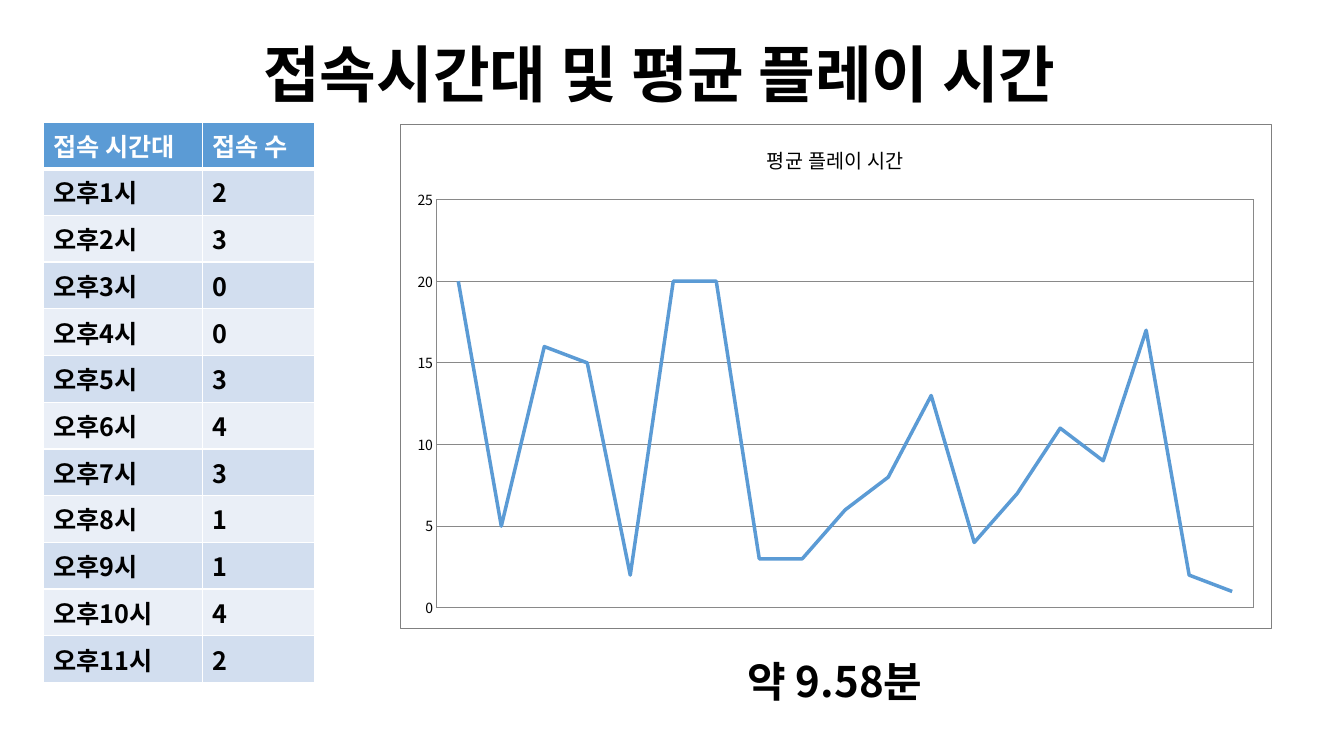
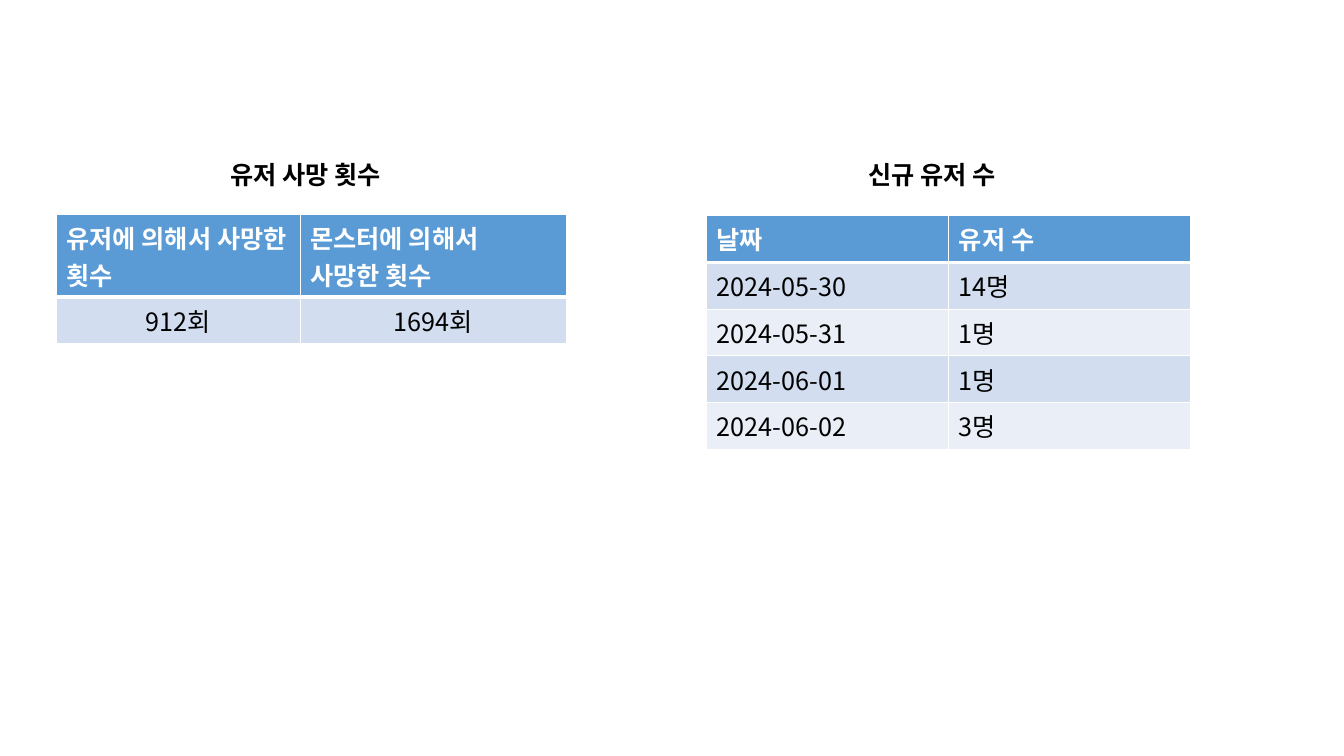
"""Build two slides on play times, user deaths and new users."""
from dataclasses import dataclass
from itertools import product

from lxml import etree
from pptx import Presentation
from pptx.chart.data import CategoryChartData
from pptx.dml.color import RGBColor
from pptx.enum.chart import XL_CHART_TYPE, XL_MARKER_STYLE, XL_TICK_MARK
from pptx.enum.text import MSO_ANCHOR, MSO_AUTO_SIZE, PP_ALIGN
from pptx.oxml import parse_xml
from pptx.oxml.ns import nsdecls, qn
from pptx.slide import Slide
from pptx.text.text import Font
from pptx.util import Emu, Inches, Pt

LINE = XL_CHART_TYPE.LINE
NO_MARKER, NO_TICK = XL_MARKER_STYLE.NONE, XL_TICK_MARK.NONE
MIDDLE, TOP = MSO_ANCHOR.MIDDLE, MSO_ANCHOR.TOP
GROW, FIXED = MSO_AUTO_SIZE.SHAPE_TO_FIT_TEXT, MSO_AUTO_SIZE.NONE
LEFT, CENTER = PP_ALIGN.LEFT, PP_ALIGN.CENTER

SLIDE_W, SLIDE_H = Inches(13.333), Inches(7.5)
SANS, LATIN = "Noto Sans CJK KR", "Calibri"
BLACK, WHITE, BLUE = "000000", "FFFFFF", "5B9BD5"
GRID, FRAME = "898989", "808080"
BANDS = ("D2DEEF", "EAEFF7")
ROW = 6.18


@dataclass(frozen=True)
class Box:
    """A place in percent of the slide's width and height."""
    left: float
    top: float
    width: float
    height: float

    def emu(self) -> tuple[Emu, Emu, Emu, Emu]:
        """Return the place as lengths."""
        return across(self.left), down(self.top), across(self.width), down(self.height)


@dataclass(frozen=True)
class Label:
    """A line of bold text and its place."""
    text: str
    box: Box
    size: float = 18
    face: str = SANS
    align: PP_ALIGN = CENTER
    anchor: MSO_ANCHOR = TOP
    fit: MSO_AUTO_SIZE = GROW


@dataclass(frozen=True)
class Grid:
    """A banded table, with its columns and rows in percent of the slide."""
    left: float
    top: float
    cols: tuple[float, ...]
    rows: tuple[tuple[str, ...], ...]
    head_height: float = ROW
    bold: bool = False
    align: PP_ALIGN = LEFT


TITLE = Label("접속시간대 및 평균 플레이 시간", Box(0, 0, 98.18, 19.33), 44, LATIN,
              anchor=MIDDLE, fit=FIXED)
AVERAGE = Label("약 9.58분", Box(53.25, 86, 17.78, 8.13), 30)
DEATHS_LABEL = Label("유저 사망 횟수", Box(15.68, 20.4, 14.1, 5.33), face=LATIN)
USERS_LABEL = Label("신규 유저 수", Box(63.9, 20.4, 12.45, 5.33), align=LEFT)

CHART_BOX = Box(29.78, 16.4, 64.8, 66.67)
CHART_TITLE = "평균 플레이 시간"
MINUTES = (20, 5, 16, 15, 2, 20, 20, 3, 3, 6, 8, 13, 4, 7, 11, 9, 17, 2, 1)
LOGINS = (2, 3, 0, 0, 3, 4, 3, 1, 1, 4, 2)

HOURS = Grid(3.22, 16.13, (11.85, 8.33),
             (("접속 시간대", "접속 수"),
              *((f"오후{hour}시", str(n)) for hour, n in enumerate(LOGINS, 1))),
             bold=True)
DEATHS = Grid(4.2, 28.4, (18.15, 19.8),
              (("유저에 의해서 사망한 횟수", "몬스터에 의해서 사망한 횟수"),
               ("912회", "1694회")), head_height=10.9, align=CENTER)
USERS = Grid(52.58, 28.53, (18.02, 18.02),
             (("날짜", "유저 수"), ("2024-05-30", "14명"), ("2024-05-31", "1명"),
              ("2024-06-01", "1명"), ("2024-06-02", "3명")))


def across(percent: float) -> Emu:
    """Return a share of the slide's width."""
    return Emu(round(SLIDE_W * percent / 100))


def down(percent: float) -> Emu:
    """Return a share of the slide's height."""
    return Emu(round(SLIDE_H * percent / 100))


def rgb(color: str) -> RGBColor:
    """Turn a hex string into a colour."""
    return RGBColor.from_string(color)


def set_font(font: Font, size: float, color: str = BLACK, bold: bool = False,
             face: str = SANS) -> None:
    """Set the Latin and Korean faces, size, colour and weight."""
    font.name, font.size, font.bold = face, Pt(size), bold
    font.color.rgb = rgb(color)
    latin = font._element.find(qn("a:latin"))
    latin.addnext(parse_xml(f'<a:ea {nsdecls("a")} typeface="{SANS}"/>'))


def add_label(s: Slide, label: Label) -> None:
    """Draw a text box."""
    tf = s.shapes.add_textbox(*label.box.emu()).text_frame
    tf.word_wrap, tf.auto_size = True, label.fit
    tf.vertical_anchor = label.anchor
    p = tf.paragraphs[0]
    p.text, p.alignment = label.text, label.align
    set_font(p.font, label.size, bold=True, face=label.face)


def set_borders(tc_pr: etree._Element, row: int) -> None:
    """Give a cell white borders, thick between the header and the body."""
    widths = {"L": 1, "R": 1, "T": 3 if row == 1 else 1, "B": 3 if row == 0 else 1}
    for i, (side, width) in enumerate(widths.items()):
        tc_pr.insert(i, parse_xml(
            f'<a:ln{side} {nsdecls("a")} w="{Pt(width)}"><a:solidFill>'
            f'<a:srgbClr val="{WHITE}"/></a:solidFill></a:ln{side}>'))


def add_grid(s: Slide, grid: Grid) -> None:
    """Draw a table with a blue header and banded rows."""
    n_rows, n_cols = len(grid.rows), len(grid.cols)
    height = grid.head_height + (n_rows - 1) * ROW
    box = Box(grid.left, grid.top, sum(grid.cols), height)
    table = s.shapes.add_table(n_rows, n_cols, *box.emu()).table
    for column, width in zip(table.columns, grid.cols):
        column.width = across(width)
    for i, row in enumerate(table.rows):
        row.height = down(ROW if i else grid.head_height)
    for i, j in product(range(n_rows), range(n_cols)):
        cell = table.cell(i, j)
        cell.fill.solid()
        cell.fill.fore_color.rgb = rgb(BANDS[(i - 1) % 2] if i else BLUE)
        set_borders(cell._tc.get_or_add_tcPr(), i)
        if i == 0 and j == n_cols - 1:
            cell.margin_right = Inches(0.2)
        p = cell.text_frame.paragraphs[0]
        p.text, p.alignment = grid.rows[i][j], grid.align if i else LEFT
        set_font(p.font, 18, BLACK if i else WHITE, grid.bold or i == 0)


def area_style(line: str, width: float) -> etree._Element:
    """Return a white fill and an outline for a part of a chart."""
    return parse_xml(
        f'<c:spPr {nsdecls("c", "a")}><a:solidFill><a:srgbClr val="{WHITE}"/></a:solidFill>'
        f'<a:ln w="{Pt(width)}"><a:solidFill><a:srgbClr val="{line}"/></a:solidFill></a:ln>'
        f'</c:spPr>')


def add_minutes_chart(s: Slide) -> None:
    """Draw the line chart of play times."""
    data = CategoryChartData()
    data.categories = [str(i) for i in range(1, len(MINUTES) + 1)]
    data.add_series("Series 1", MINUTES)
    chart = s.shapes.add_chart(LINE, *CHART_BOX.emu(), data).chart
    set_font(chart.font, 10)
    chart.has_legend = False
    p = chart.chart_title.text_frame.paragraphs[0]
    p.text = CHART_TITLE
    set_font(p.font, 14)
    chart.chart_title.include_in_layout = False
    chart.category_axis.visible = False

    axis = chart.value_axis
    axis.minimum_scale, axis.maximum_scale, axis.major_unit = 0, 25, 5
    axis.major_tick_mark = axis.minor_tick_mark = NO_TICK
    set_font(axis.tick_labels.font, 10)
    for line in (axis.format.line, axis.major_gridlines.format.line):
        line.color.rgb, line.width = rgb(GRID), Pt(0.75)

    plot = chart.plots[0]
    plot.vary_by_categories = False
    series = plot.series[0]
    series.smooth = False
    series.marker.style = NO_MARKER
    series.format.line.color.rgb, series.format.line.width = rgb(BLUE), Pt(2.5)

    space = chart._chartSpace
    space.find(qn("c:txPr")).addprevious(area_style(FRAME, 0.05))
    space.find(qn("c:chart")).find(qn("c:plotArea")).append(area_style(GRID, 0.75))


def main() -> None:
    """Build and save the slides."""
    prs = Presentation()
    prs.slide_width, prs.slide_height = SLIDE_W, SLIDE_H
    blank = prs.slide_layouts[6]

    s = prs.slides.add_slide(blank)
    add_minutes_chart(s)
    add_label(s, TITLE)
    add_grid(s, HOURS)
    add_label(s, AVERAGE)

    s = prs.slides.add_slide(blank)
    for grid in (DEATHS, USERS):
        add_grid(s, grid)
    for label in (USERS_LABEL, DEATHS_LABEL):
        add_label(s, label)

    prs.save("out.pptx")


if __name__ == "__main__":
    main()
